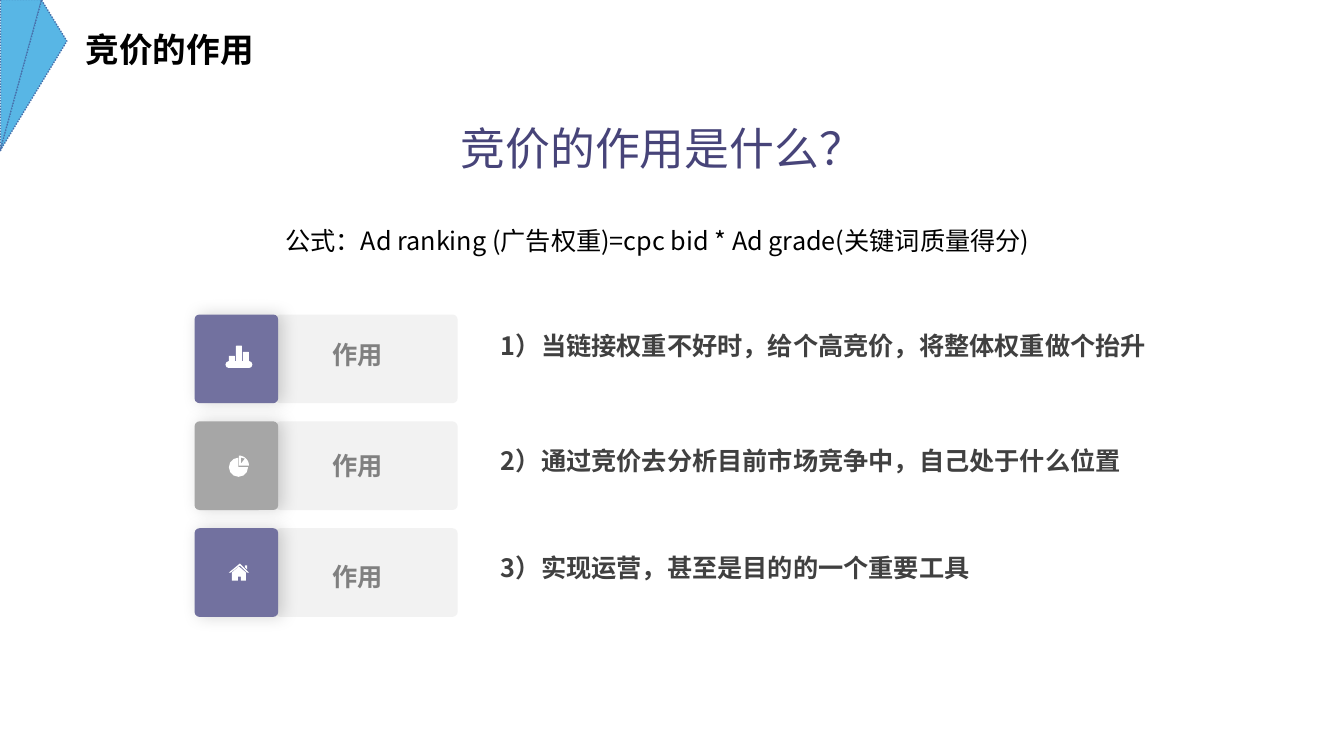
from dataclasses import dataclass
from math import cos, radians, sin

from lxml.etree import SubElement
from pptx import Presentation
from pptx.dml.color import RGBColor
from pptx.enum.dml import MSO_LINE
from pptx.enum.shapes import MSO_CONNECTOR, MSO_SHAPE
from pptx.enum.text import MSO_ANCHOR, MSO_AUTO_SIZE, PP_ALIGN
from pptx.oxml.ns import qn
from pptx.util import Inches, Pt


@dataclass(frozen=True)
class Theme:
    font: str = "Noto Sans CJK SC"
    black: str = "000000"
    white: str = "FFFFFF"
    headline: str = "474479"
    statement: str = "404040"
    label: str = "808080"
    panel: str = "F2F2F2"
    purple: str = "72719F"
    gray: str = "A6A6A6"
    blue: str = "58B6E5"
    outline: str = "476FAA"
    headline_size: int = 32
    title_size: int = 24
    body_size: int = 18


def color(value):
    return RGBColor.from_string(value)


def write_text(shape, text, *, font, size, fill, bold=False,
               align=PP_ALIGN.LEFT, wrap=True):
    frame = shape.text_frame
    frame.text = text
    frame.word_wrap = wrap
    frame.auto_size = MSO_AUTO_SIZE.SHAPE_TO_FIT_TEXT
    frame.vertical_anchor = MSO_ANCHOR.TOP
    paragraph = frame.paragraphs[0]
    paragraph.alignment = align
    run = paragraph.runs[0]
    run.font.name = font
    run.font.size = Pt(size)
    run.font.bold = bold
    run.font.color.rgb = color(fill)
    SubElement(run.font._element, qn("a:ea"), typeface=font)


class SlideBuilder:
    def __init__(self, slide, theme):
        self.slide = slide
        self.theme = theme

    def title(self, text, box, **style):
        shape = self.slide.shapes.title
        shape.left, shape.top, shape.width, shape.height = map(Inches, box)
        write_text(shape, text, font=self.theme.font, **style)

    def text(self, text, box, **style):
        shape = self.slide.shapes.add_textbox(*map(Inches, box))
        write_text(shape, text, font=self.theme.font, **style)

    def paint(self, shape, fill):
        shape.shadow.inherit = False
        shape.fill.solid()
        shape.fill.fore_color.rgb = color(fill)
        shape.line.fill.background()

    def shape(self, kind, box, fill, corner=None):
        shape = self.slide.shapes.add_shape(kind, *map(Inches, box))
        self.paint(shape, fill)
        if corner is not None:
            shape.adjustments[0] = corner
        return shape

    def tile(self, box, fill):
        shape = self.shape(MSO_SHAPE.ROUNDED_RECTANGLE, box, fill, 0.06)
        effects = shape._element.spPr.find(qn("a:effectLst"))
        shadow = SubElement(effects, qn("a:outerShdw"), blurRad=str(Pt(12)),
                            dist=str(Pt(3)), dir="0", rotWithShape="0")
        shade = SubElement(shadow, qn("a:srgbClr"), val=self.theme.black)
        SubElement(shade, qn("a:alpha"), val="17000")

    def facet(self, box, rotation, apex):
        shape = self.shape(MSO_SHAPE.ISOSCELES_TRIANGLE, box, self.theme.blue, apex)
        shape.rotation = rotation
        shape.line.color.rgb = color(self.theme.outline)
        shape.line.width = Pt(1)
        shape.line.dash_style = MSO_LINE.ROUND_DOT

    def outline(self, *contours):
        contours = [[(Inches(x), Inches(y)) for x, y in points] for points in contours]
        builder = self.slide.shapes.build_freeform(*contours[0][0], scale=1.0)
        builder.add_line_segments(contours[0][1:], close=True)
        for points in contours[1:]:
            builder.move_to(*points[0])
            builder.add_line_segments(points[1:], close=True)
        self.paint(builder.convert_to_shape(), self.theme.white)

    def line(self, start, end, width):
        connector = self.slide.shapes.add_connector(
            MSO_CONNECTOR.STRAIGHT, *map(Inches, start + end))
        connector.line.color.rgb = color(self.theme.white)
        connector.line.width = Pt(width)
        connector.line._ln.set("cap", "rnd")
        SubElement(connector._element.spPr, qn("a:effectLst"))

    def bar_icon(self):
        self.line((2.27, 3.62), (2.47, 3.62), 4.88)
        for index, top in enumerate((3.53, 3.43, 3.49)):
            box = (2.27 + 0.07 * index, top, 0.06, 3.6 - top)
            self.shape(MSO_SHAPE.ROUNDED_RECTANGLE, box, self.theme.white, 0.1)

    def pie_icon(self):
        self.shape(MSO_SHAPE.PIE, (2.27, 4.54, 0.19, 0.19), self.theme.white)
        arc = [(2.37 + 0.1 * cos(radians(angle)), 4.62 - 0.1 * sin(radians(angle)))
               for angle in range(0, 91, 10)]
        self.outline([(2.37, 4.62)] + arc, [(2.39, 4.6), (2.39, 4.54), (2.43, 4.55)])

    def house_icon(self):
        self.outline([(2.3, 5.76), (2.36, 5.76), (2.36, 5.72), (2.39, 5.72),
                      (2.39, 5.76), (2.44, 5.76), (2.44, 5.68), (2.37, 5.62),
                      (2.3, 5.68)])
        self.outline([(2.27, 5.68), (2.29, 5.68), (2.38, 5.61), (2.45, 5.68),
                      (2.47, 5.68), (2.38, 5.59)])
        self.outline([(2.45, 5.61), (2.43, 5.61), (2.43, 5.63), (2.45, 5.65)])


def main():
    presentation = Presentation()
    presentation.slide_width = Inches(13.33)
    presentation.slide_height = Inches(7.5)
    theme = Theme()
    slide = presentation.slides.add_slide(presentation.slide_layouts[5])
    builder = SlideBuilder(slide, theme)

    # Title, headline and formula
    builder.title("竞价的作用", (0.75, 0.24, 3.71, 0.5),
                  size=theme.title_size, fill=theme.black, bold=True)
    builder.text("竞价的作用是什么？", (4.47, 1.15, 4.2, 0.64),
                 size=theme.headline_size, fill=theme.headline, wrap=False)
    builder.text("公式：Ad ranking (广告权重)=cpc bid * Ad grade(关键词质量得分)",
                 (2.73, 2.19, 8.72, 0.4), size=theme.body_size, fill=theme.black)

    # Rows: panel, tile, label, icon and statement
    rows = [
        ("1）当链接权重不好时，给个高竞价，将整体权重做个抬升",
         3.23, theme.purple, builder.bar_icon),
        ("2）通过竞价去分析目前市场竞争中，自己处于什么位置",
         4.37, theme.gray, builder.pie_icon),
        ("3）实现运营，甚至是目的的一个重要工具",
         5.43, theme.purple, builder.house_icon),
    ]
    for index, (statement, statement_top, fill, draw_icon) in enumerate(rows):
        top = 3.12 + 1.06 * index
        builder.shape(MSO_SHAPE.ROUNDED_RECTANGLE, (2.73, top, 1.81, 0.88),
                      theme.panel, 0.06)
        builder.tile((1.93, top, 0.83, 0.88), fill)
        builder.text("作用", (2.82, 3.32 + 1.1 * index, 1.45, 0.4),
                     size=theme.body_size, fill=theme.label, bold=True,
                     align=PP_ALIGN.CENTER)
        draw_icon()
        builder.text(statement, (4.87, statement_top, 7.2, 0.4),
                     size=theme.body_size, fill=theme.statement, bold=True)

    # Corner facets
    builder.facet((-0.54, 0.54, 1.5, 0.41), 90, 0)
    builder.facet((-0.4, 0.62, 1.55, 0.35), 105.4, 0.21)

    presentation.save("out.pptx")


if __name__ == "__main__":
    main()
